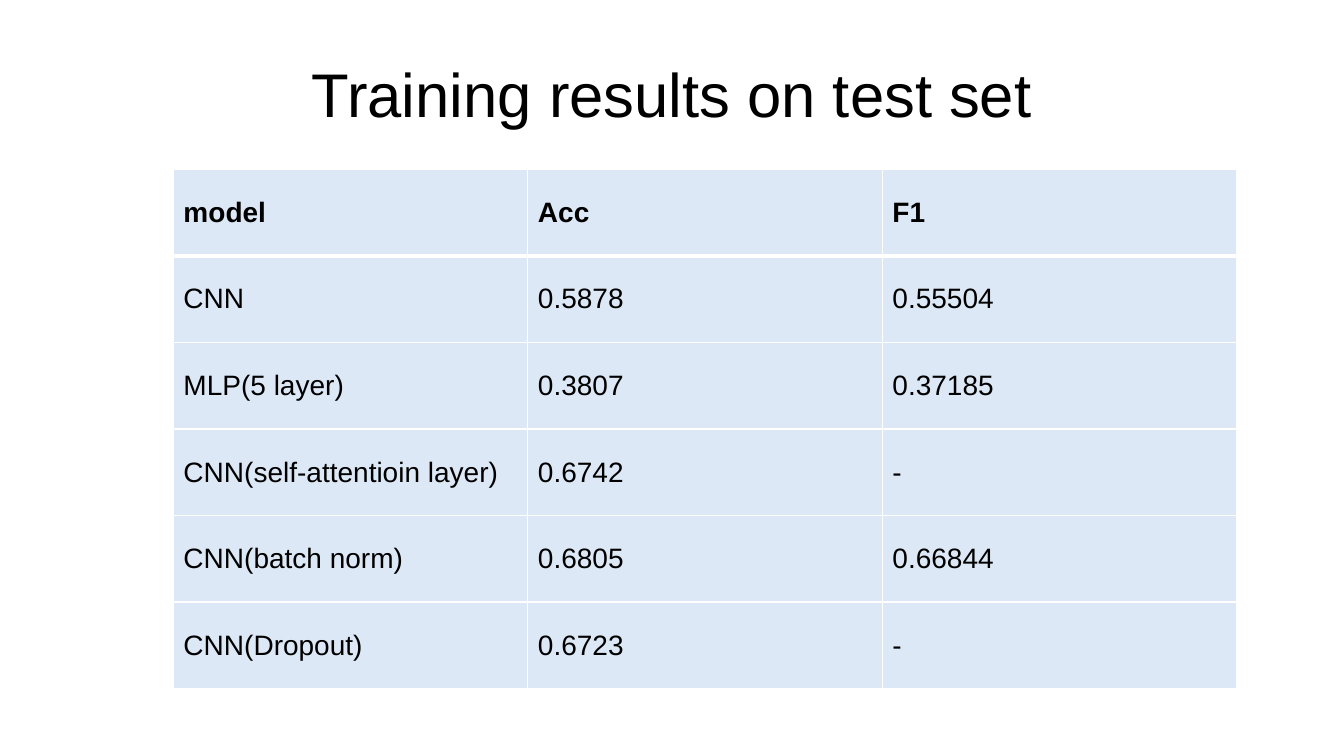
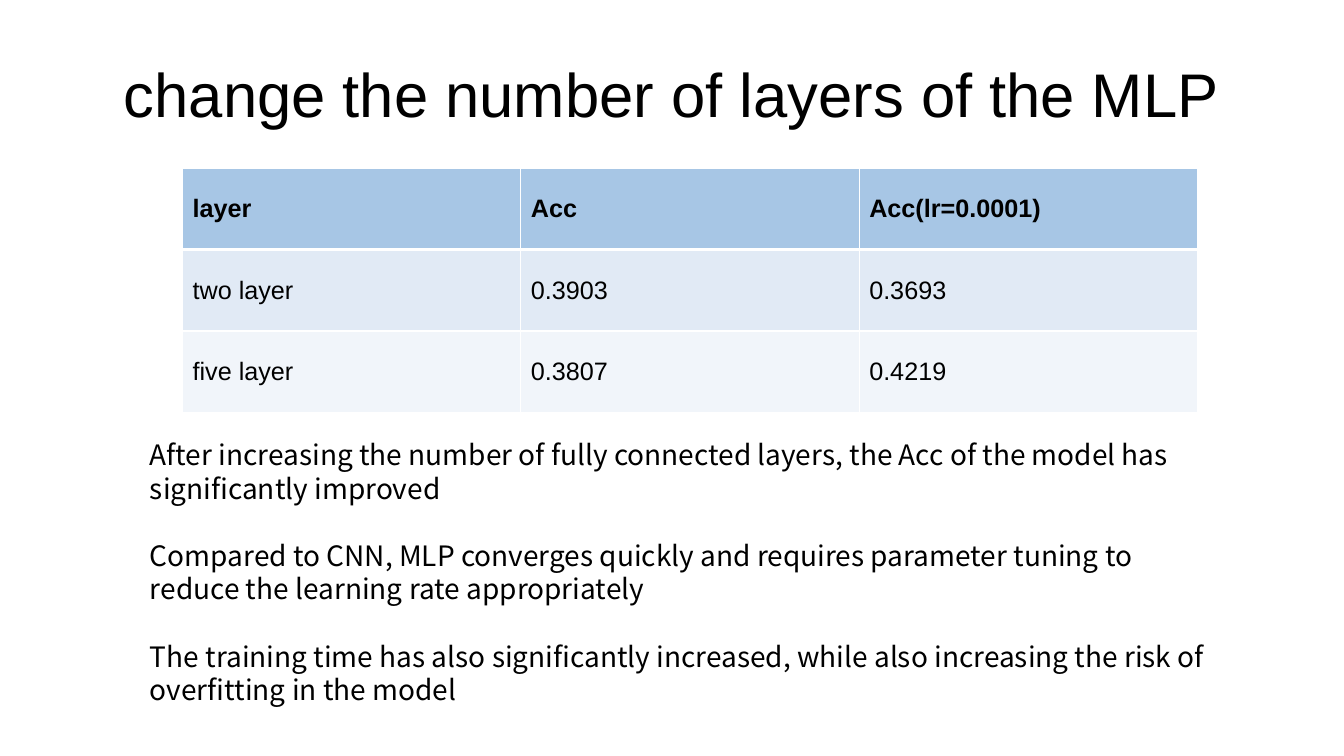
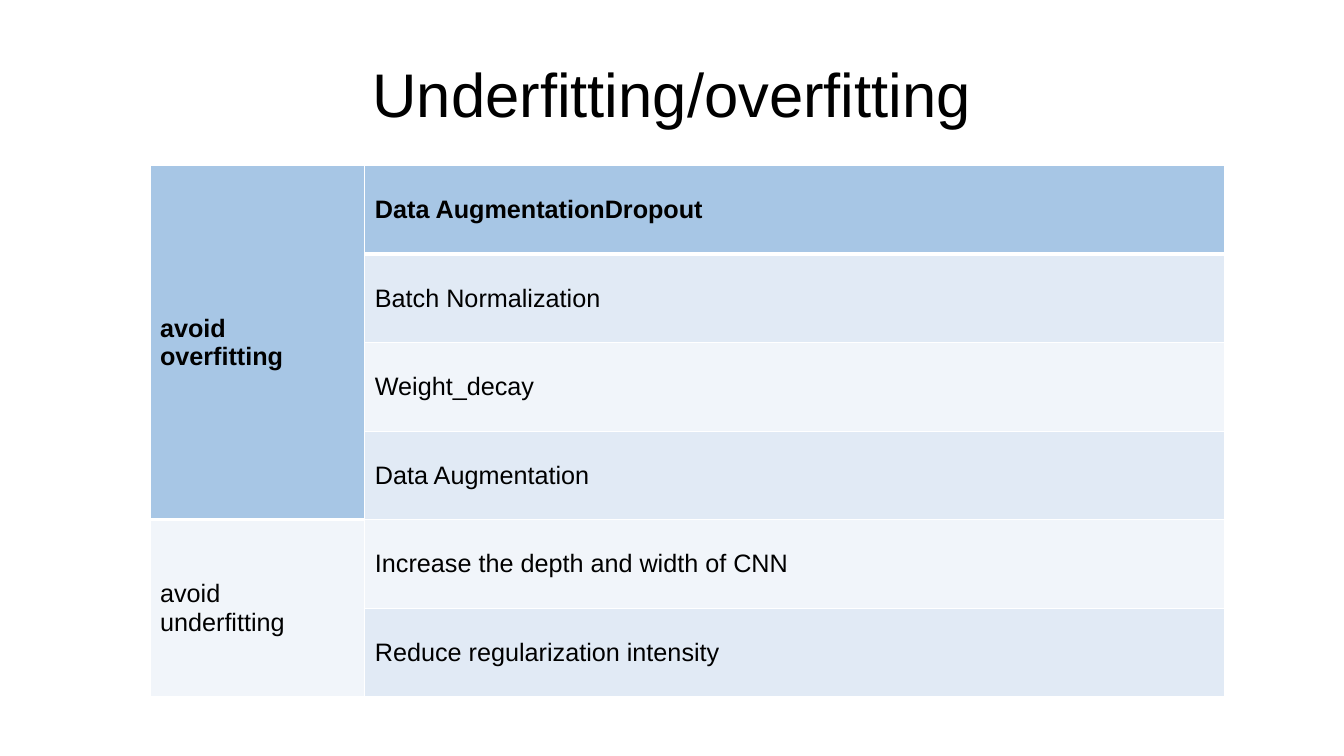
from dataclasses import dataclass

from lxml.etree import SubElement
from pptx import Presentation
from pptx.dml.color import RGBColor
from pptx.enum.text import MSO_ANCHOR as Anchor, PP_ALIGN as Align
from pptx.oxml.ns import qn
from pptx.slide import Slide
from pptx.table import _Cell as Cell
from pptx.text.text import TextFrame
from pptx.util import Cm, Pt


@dataclass(frozen=True)
class Theme:
    heading_font: str = "Arial"
    body_font: str = "Noto Sans CJK SC"
    text: str = "000000"
    background: str = "FFFFFF"
    border: str = "FFFFFF"
    title_size: float = 44
    body_size: float = 20
    body_line: float = 24
    thin: float = 1
    thick: float = 3


@dataclass(frozen=True)
class Box:
    """Place of an object, in centimetres."""
    left: float
    top: float
    width: float
    height: float

    def lengths(self) -> tuple[Cm, Cm, Cm, Cm]:
        return Cm(self.left), Cm(self.top), Cm(self.width), Cm(self.height)


@dataclass(frozen=True)
class TableColours:
    head: str
    bands: tuple[str, ...]

    def row_fill(self, row: int) -> str:
        return self.bands[(row - 1) % len(self.bands)] if row else self.head


@dataclass(frozen=True)
class TableData:
    """Rows of text; None continues the cell above."""
    box: Box
    rows: tuple[tuple[str | None, ...], ...]
    column_shares: tuple[int, ...]
    colours: TableColours
    size: float

    def origin(self, row: int, column: int) -> int:
        """Row in which the cell covering this place starts."""
        while self.rows[row][column] is None:
            row -= 1
        return row


@dataclass(frozen=True)
class Page:
    title: str
    table: TableData
    remarks: tuple[str, ...] = ()


THEME = Theme()
TITLE_BOX = Box(1.7, 0.76, 30.48, 3.18)
REMARKS_BOX = Box(3.53, 10.9, 27.08, 5.64)
PLAIN = TableColours("DCE8F5", ("DCE8F5",))
BANDED = TableColours("A7C6E5", ("E1EAF5", "F1F5FA"))

PAGES = (
    Page("Training results on test set", TableData(
        Box(4.37, 4.27, 26.8, 13.08),
        (("model", "Acc", "F1"),
         ("CNN", "0.5878", "0.55504"),
         ("MLP(5 layer)", "0.3807", "0.37185"),
         ("CNN(self-attentioin layer)", "0.6742", "-"),
         ("CNN(batch norm)", "0.6805", "0.66844"),
         ("CNN(Dropout)", "0.6723", "-")),
        (1, 1, 1), PLAIN, 20)),
    Page("change the number of layers of the MLP", TableData(
        Box(4.6, 4.24, 25.58, 6.15),
        (("layer", "Acc", "Acc(lr=0.0001)"),
         ("two layer", "0.3903", "0.3693"),
         ("five layer", "0.3807", "0.4219")),
        (1, 1, 1), BANDED, 18),
        ("After increasing the number of fully connected layers, the Acc of the model has "
         "significantly improved",
         "Compared to CNN, MLP converges quickly and requires parameter tuning to reduce "
         "the learning rate appropriately",
         "The training time has also significantly increased, while also increasing the "
         "risk of overfitting in the model")),
    Page("Underfitting/overfitting", TableData(
        Box(3.78, 4.17, 27.08, 13.39),
        (("avoid\noverfitting", "Data AugmentationDropout"),
         (None, "Batch Normalization"),
         (None, "Weight_decay"),
         (None, "Data Augmentation"),
         ("avoid\nunderfitting", "Increase the depth and width of CNN"),
         (None, "Reduce regularization intensity")),
        (1, 4), BANDED, 18)),
)


def write_text(frame: TextFrame, text: str, *, size: float, font: str = THEME.heading_font,
               bold: bool = False, align: Align = Align.LEFT,
               line: float | None = None, gap: float = 0) -> None:
    """Write one paragraph per line of text; line and gap are in points."""
    lines = text.split("\n")
    for index, content in enumerate(lines):
        paragraph = frame.add_paragraph() if index else frame.paragraphs[0]
        paragraph.alignment = align
        if line:
            paragraph.line_spacing = Pt(line)
        if gap and index < len(lines) - 1:
            paragraph.space_after = Pt(gap)
        run = paragraph.add_run()
        run.text = content
        run.font.name = font
        run.font.size = Pt(size)
        run.font.bold = bold
        run.font.color.rgb = RGBColor.from_string(THEME.text)


def add_text_frame(slide: Slide, box: Box, anchor: Anchor) -> TextFrame:
    frame = slide.shapes.add_textbox(*box.lengths()).text_frame
    frame.word_wrap = True
    frame.vertical_anchor = anchor
    return frame


def set_borders(cell: Cell, top: float, bottom: float) -> None:
    properties = cell._tc.get_or_add_tcPr()
    widths = {"a:lnL": THEME.thin, "a:lnR": THEME.thin, "a:lnT": top, "a:lnB": bottom}
    for position, (tag, width) in enumerate(widths.items()):
        border = SubElement(properties, qn(tag), w=str(Pt(width)))
        fill = SubElement(border, qn("a:solidFill"))
        SubElement(fill, qn("a:srgbClr"), val=THEME.border)
        properties.insert(position, border)


def add_data_table(slide: Slide, data: TableData) -> None:
    row_count, column_count = len(data.rows), len(data.column_shares)
    table = slide.shapes.add_table(row_count, column_count, *data.box.lengths()).table
    for column, share in zip(table.columns, data.column_shares):
        column.width = Cm(data.box.width * share / sum(data.column_shares))
    for row in table.rows:
        row.height = Cm(data.box.height / row_count)

    for row in range(row_count):
        for column in range(column_count):
            cell = table.cell(row, column)
            start = data.origin(row, column)
            is_head = start == 0
            below_head = not is_head and data.origin(row - 1, column) == 0
            cell.fill.solid()
            cell.fill.fore_color.rgb = RGBColor.from_string(data.colours.row_fill(start))
            set_borders(cell, THEME.thick if below_head else THEME.thin,
                        THEME.thick if is_head else THEME.thin)
            cell.vertical_anchor = Anchor.MIDDLE
            if start == row:
                write_text(cell.text_frame, data.rows[row][column],
                           size=data.size, bold=is_head)

    for column in range(column_count):
        origins = [data.origin(row, column) for row in range(row_count)]
        for start in set(origins):
            span = origins.count(start)
            if span > 1:
                table.cell(start, column).merge(table.cell(start + span - 1, column))


def add_page(presentation: Presentation, page: Page) -> None:
    slide = presentation.slides.add_slide(presentation.slide_layouts[6])
    slide.background.fill.solid()
    slide.background.fill.fore_color.rgb = RGBColor.from_string(THEME.background)
    write_text(add_text_frame(slide, TITLE_BOX, Anchor.MIDDLE), page.title,
               size=THEME.title_size, align=Align.CENTER)
    add_data_table(slide, page.table)
    if page.remarks:
        frame = add_text_frame(slide, REMARKS_BOX, Anchor.TOP)
        frame.margin_right = Cm(0.1)
        write_text(frame, "\n".join(page.remarks), size=THEME.body_size,
                   font=THEME.body_font, line=THEME.body_line, gap=THEME.body_line)


def main() -> None:
    presentation = Presentation()
    presentation.slide_width, presentation.slide_height = Cm(33.87), Cm(19.05)
    for page in PAGES:
        add_page(presentation, page)
    presentation.save("out.pptx")


if __name__ == "__main__":
    main()
